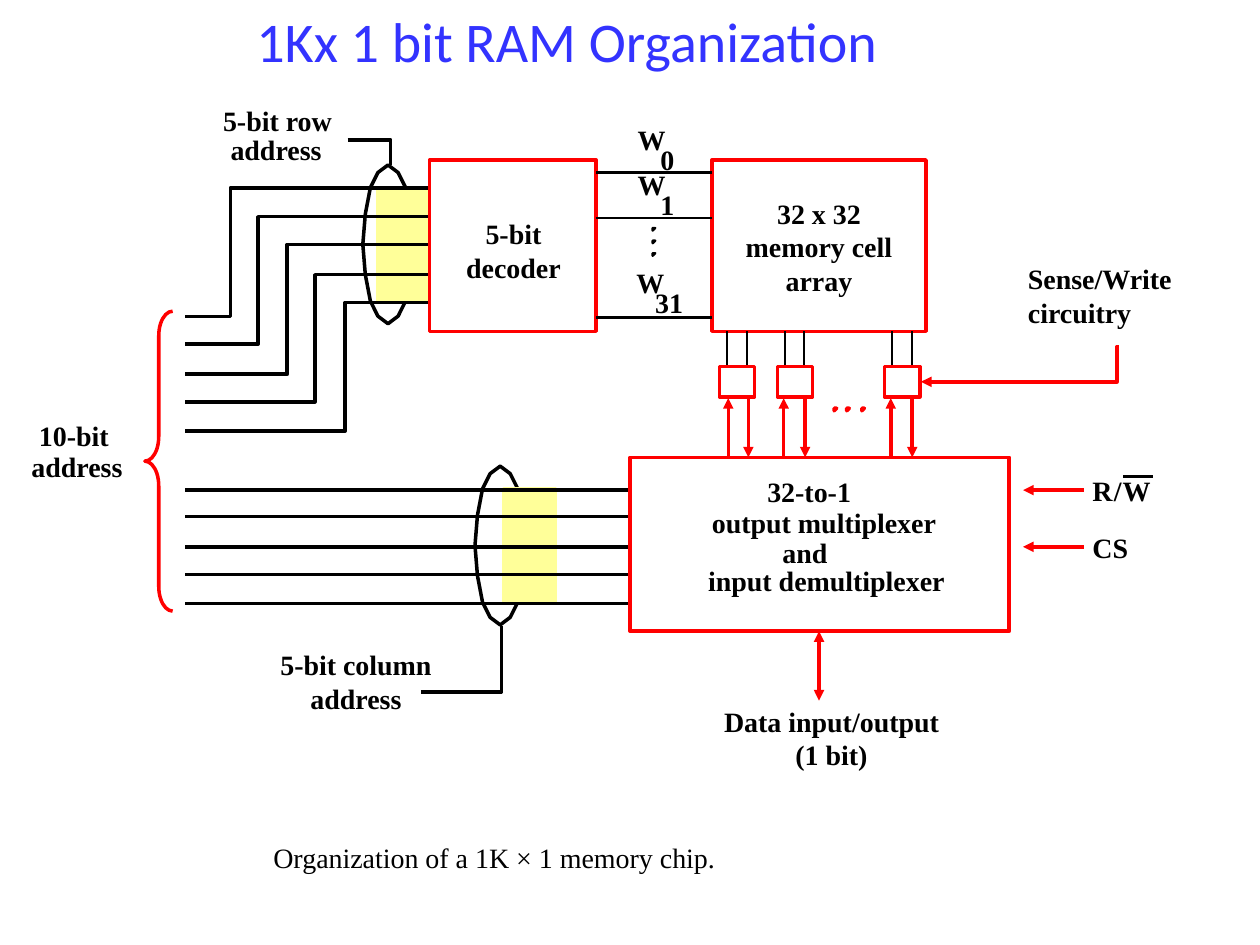
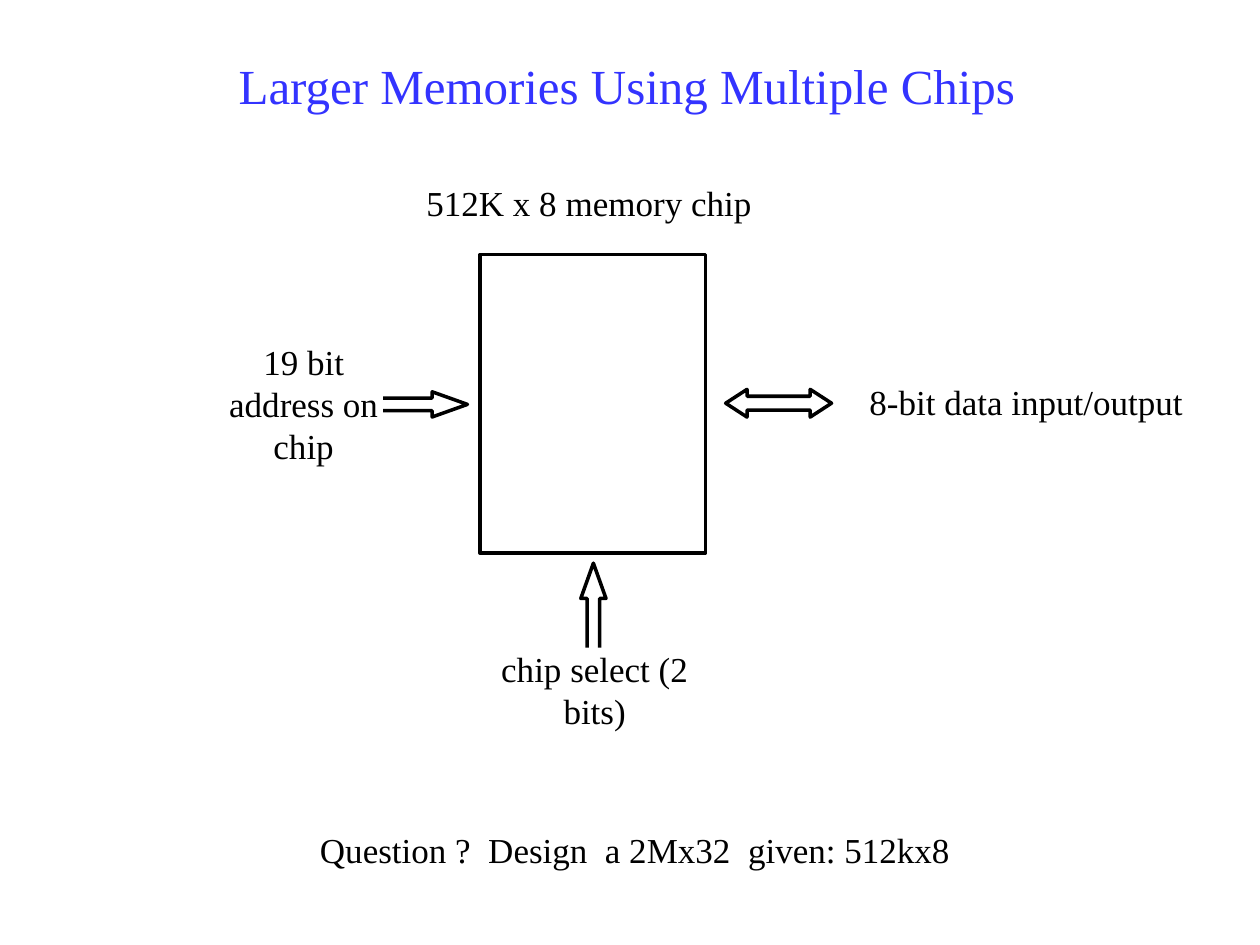
from pptx import Presentation
from pptx.dml.color import RGBColor
from pptx.enum.shapes import MSO_CONNECTOR, MSO_SHAPE
from pptx.enum.text import PP_ALIGN
from pptx.oxml.ns import qn
from pptx.util import Pt
from lxml.etree import SubElement

EMU_PER_PX = 9144
COLORS = {"ink": "000000", "red": "FF0000", "title": "3333FF", "bus": "FFFF99"}
SERIF = "Times New Roman"
THIN = 1.38
THICK = 2
LABEL = {"size": Pt(16), "name": SERIF, "bold": True}
CAPTION = {"size": Pt(16), "name": SERIF, "bold": False}
NOTE = {"size": Pt(20), "name": SERIF, "bold": False}
LOOP_HALF = [(0, 0), (8, 6), (14, 18), (18, 39), (20, 63),
             (18, 87), (14, 108), (8, 120), (0, 126)]
ARROW_PROFILE = [(0, 5), (39, 5), (39, 10), (67, 0), (39, -10), (39, -5), (0, -5)]


def px(*lengths):
    return [length * EMU_PER_PX for length in lengths]


def color(name):
    return RGBColor.from_string(COLORS[name])


def style_line(line, line_color, width):
    line.color.rgb = color(line_color)
    line.width = Pt(width)


def style_shape(shape, line_color, width, fill=None):
    shape.shadow.inherit = False
    if fill:
        shape.fill.solid()
        shape.fill.fore_color.rgb = color(fill)
    else:
        shape.fill.background()
    style_line(shape.line, line_color, width)


def add_preset(page, kind, place, line_color, fill=None, adjustments=()):
    shape = page.shapes.add_shape(kind, *px(*place))
    style_shape(shape, line_color, THICK, fill)
    for index, value in enumerate(adjustments):
        shape.adjustments[index] = value


def add_outline(page, points, line_color="ink", width=THICK, close=False):
    start, *rest = [px(*point) for point in points]
    builder = page.shapes.build_freeform(*start, scale=1.0)
    builder.add_line_segments(rest, close=close)
    style_shape(builder.convert_to_shape(), line_color, width)


def add_line(page, start, end, line_color="ink", width=THICK, heads=(), bend=None):
    kind = MSO_CONNECTOR.STRAIGHT if bend is None else MSO_CONNECTOR.ELBOW
    connector = page.shapes.add_connector(kind, *px(*start, *end))
    style_line(connector.line, line_color, width)
    properties = connector._element.spPr
    SubElement(properties, qn("a:effectLst"))
    for head in heads:
        SubElement(properties.find(qn("a:ln")), qn(f"a:{head}"), type="triangle")
    if bend is not None:
        guides = properties.find(qn("a:prstGeom")).get_or_add_avLst()
        SubElement(guides, qn("a:gd"), name="adj1", fmla=f"val {bend}")


def add_arrow(page, start, end, heads=("tailEnd",), bend=None):
    add_line(page, start, end, "red", heads=heads, bend=bend)


def add_text(page, text, place, font_format, text_color="ink", wrap=True,
             align=PP_ALIGN.CENTER, inset=(0, 0)):
    box = page.shapes.add_textbox(*px(*place))
    side, top = px(*inset)
    frame_format = {"word_wrap": wrap, "margin_left": side, "margin_right": side,
                    "margin_top": top, "margin_bottom": top}
    for name, value in frame_format.items():
        setattr(box.text_frame, name, value)
    para = box.text_frame.paragraphs[0]
    para.alignment = align
    span = para.add_run()
    span.text = text
    for name, value in font_format.items():
        setattr(span.font, name, value)
    span.font.color.rgb = color(text_color)


def add_title(page, text, place, size, font_name):
    title_format = {"size": Pt(size), "name": font_name, "bold": False}
    add_text(page, text, place, title_format, "title", inset=(10, 5))


def add_label(page, text, left, top, width):
    add_text(page, text, (left, top, width, 27), LABEL, wrap=False, align=PP_ALIGN.LEFT)


def add_bus_loop(page, center, top):
    left_side = [(center - across, top + down) for across, down in LOOP_HALF]
    right_side = [(center + across, top + down) for across, down in LOOP_HALF[-2:0:-1]]
    add_outline(page, left_side + right_side, close=True)


def add_bus_band(page, left, top):
    add_preset(page, MSO_SHAPE.RECTANGLE, (left, top, 41, 91), "bus", "bus")


def add_dot(page, left, top, line_color, width):
    add_outline(page, [(left, top), (left, top + 2), (left + 2, top)],
                line_color, width, close=True)


def draw_address_buses(page):
    add_bus_loop(page, 308, 131)
    add_bus_band(page, 300, 149)
    row_wires = zip((251, 273, 297, 319, 342), (183, 205, 228, 250, 274),
                    (149, 172, 194, 218, 240))
    for source, bend, target in row_wires:
        add_outline(page, [(147, source), (bend, source), (bend, target), (341, target)])
    add_bus_loop(page, 397, 370)
    add_bus_band(page, 400, 388)
    for wire in (389, 410, 434, 456, 479):
        add_line(page, (147, wire), (501, wire))
    add_outline(page, [(276, 111), (310, 111), (310, 131)])
    add_outline(page, [(334, 549), (398, 549), (398, 497)])
    add_preset(page, MSO_SHAPE.LEFT_BRACE, (115, 247, 22, 238), "red",
               adjustments=(0.89, 0.5))


def draw_array(page):
    for block in ((341, 127, 132, 136), (565, 127, 170, 136), (500, 363, 301, 138)):
        add_preset(page, MSO_SHAPE.RECTANGLE, block, "red")
    for word_line in (137, 173, 252):
        add_line(page, (473, word_line), (565, word_line), width=THIN)
    for top in (181, 191, 201):
        add_dot(page, 518, top, "ink", THIN)
    for left in (662, 672, 684):
        add_dot(page, left, 324, "red", THICK)
    for left, bit_lines, up, down in ((571, (577, 593), 578, 594),
                                      (617, (623, 638), 622, 639),
                                      (702, (708, 724), 707, 724)):
        for bit_line in bit_lines:
            add_line(page, (bit_line, 291), (bit_line, 263), width=THIN)
        add_preset(page, MSO_SHAPE.RECTANGLE, (left, 291, 28, 24), "red")
        add_arrow(page, (up, 364), (up, 316))
        add_arrow(page, (down, 314), (down, 363))


def draw_ram_organization(page):
    draw_address_buses(page)
    draw_array(page)
    add_arrow(page, (888, 275), (731, 303), bend=900)
    add_arrow(page, (650, 501), (650, 556), heads=("headEnd", "tailEnd"))
    for control in (389, 434):
        add_arrow(page, (860, control), (812, control))
    add_line(page, (915, 378), (891, 378))

    for label in (("5-bit row", 177, 82, 88), ("address", 183, 105, 73),
                  ("10-bit", 31, 332, 56), ("address", 25, 357, 73),
                  ("32-to-1", 609, 377, 67), ("output multiplexer", 565, 401, 181),
                  ("and", 621, 425, 36), ("input demultiplexer", 562, 447, 191),
                  ("R", 867, 376, 16), ("/", 884, 376, 6), ("W", 891, 376, 22),
                  ("CS", 867, 421, 29),
                  ("W", 506, 97, 22), ("0", 524, 113, 11),
                  ("W", 506, 133, 22), ("1", 524, 149, 11),
                  ("W", 505, 211, 22), ("31", 520, 227, 26)):
        add_label(page, *label)
    add_text(page, "Data input/output (1 bit)", (570, 559, 180, 54), LABEL)
    add_text(page, "5-bit column address", (200, 514, 165, 53), LABEL)
    add_text(page, "32 x 32 memory cell array", (575, 151, 150, 90), LABEL, inset=(10, 5))
    add_text(page, "5-bit decoder", (350, 167, 115, 64), LABEL, inset=(10, 5))
    add_text(page, "Sense/Write circuitry", (806, 203, 162, 64), LABEL,
             align=PP_ALIGN.LEFT, inset=(10, 5))
    add_text(page, "Organization of a 1K × 1 memory chip.", (217, 667, 644, 27),
             CAPTION, align=PP_ALIGN.LEFT)
    add_title(page, "1Kx 1 bit RAM Organization", (75, 0, 750, 92), 32, "Calibri")


def draw_larger_memories(page):
    add_title(page, "Larger Memories Using Multiple Chips", (118, 39, 759, 57), 28, SERIF)
    add_preset(page, MSO_SHAPE.RECTANGLE, (381, 202, 179, 237), "ink")
    add_outline(page, [(304 + along, 321 + across) for along, across in ARROW_PROFILE])
    add_outline(page, [(471 + across, 514 - along) for along, across in ARROW_PROFILE])
    add_preset(page, MSO_SHAPE.LEFT_RIGHT_ARROW, (576, 309, 84, 22), "ink",
               adjustments=(0.5, 0.77))
    add_text(page, "512K x 8 memory chip", (309, 144, 317, 33), NOTE)
    add_text(page, "19 bit address on chip", (180, 270, 122, 100), NOTE)
    add_text(page, "chip select (2 bits)", (392, 514, 160, 67), NOTE)
    add_text(page, "8-bit data input/output", (690, 302, 268, 33), NOTE,
             wrap=False, align=PP_ALIGN.LEFT)
    add_text(page, "Question ?  Design  a 2Mx32  given: 512kx8",
             (183, 653, 642, 44), NOTE, inset=(10, 5))


def main():
    deck = Presentation()
    deck.slide_width, deck.slide_height = px(1000, 750)
    for draw in (draw_ram_organization, draw_larger_memories):
        draw(deck.slides.add_slide(deck.slide_layouts[6]))
    deck.save("out.pptx")


if __name__ == "__main__":
    main()
